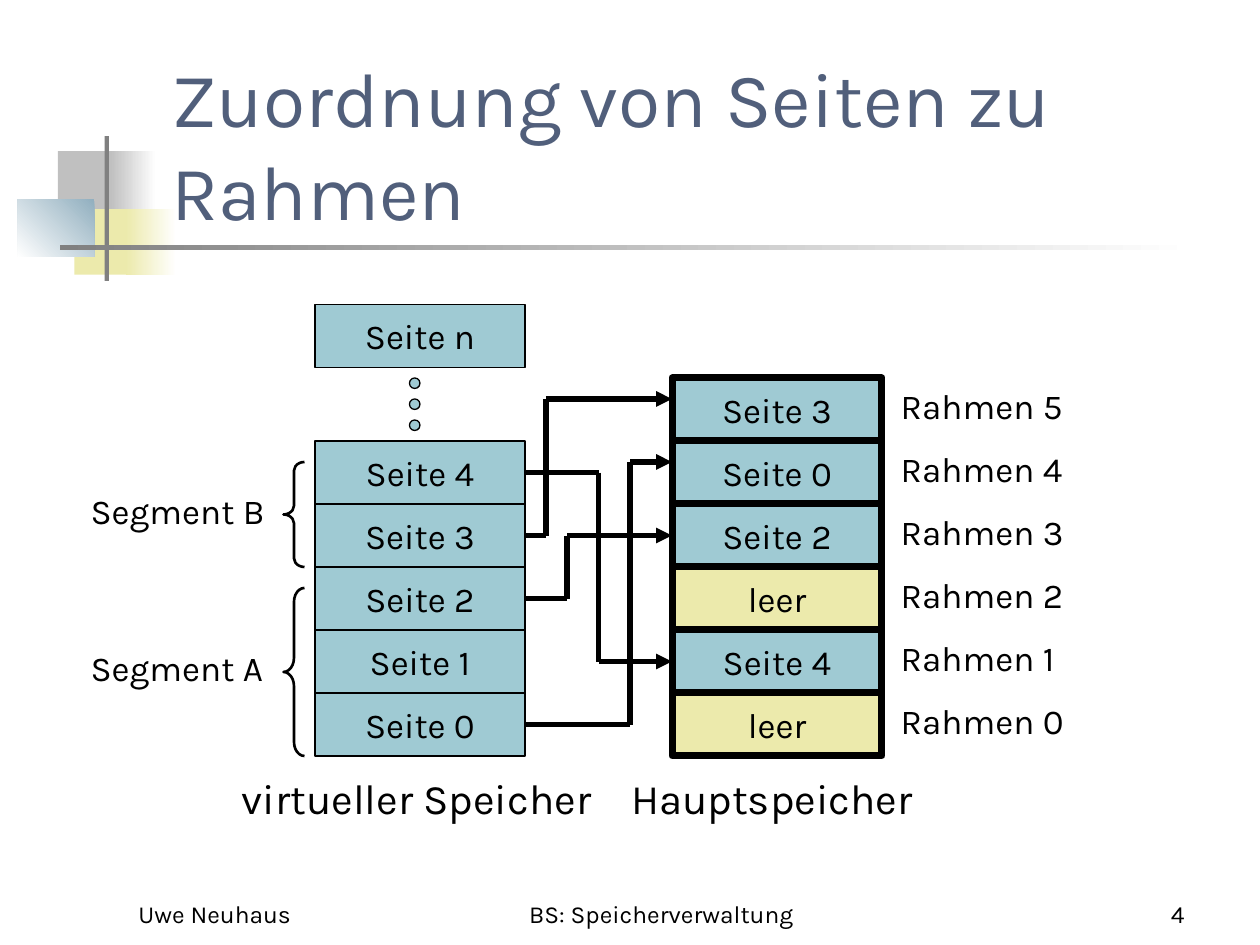
from lxml import etree
from pptx import Presentation
from pptx.dml.color import RGBColor
from pptx.enum import shapes, text
from pptx.oxml import ns
from pptx.util import Pt

BLACK = RGBColor(0x00, 0x00, 0x00)
WHITE = RGBColor(0xFF, 0xFF, 0xFF)
SILVER = RGBColor(0xC0, 0xC0, 0xC0)
GREY = RGBColor(0x80, 0x80, 0x80)
YELLOW = RGBColor(0xEC, 0xEA, 0xAC)
STEEL = RGBColor(0x91, 0xAF, 0xBF)
TEAL = RGBColor(0x9F, 0xCA, 0xD3)
NAVY = RGBColor(0x51, 0x5F, 0x7B)

FONT = "Karla"
SHAPE = shapes.MSO_SHAPE
ANCHOR = text.MSO_ANCHOR
ALIGN = text.PP_ALIGN

PAGE_LEFT, FRAME_LEFT = 180, 384
CELL_WIDTH, CELL_HEIGHT = 120, 36
BOTTOM = 432

deck = Presentation()
deck.slide_width, deck.slide_height = Pt(720), Pt(540)
slide = deck.slides.add_slide(deck.slide_layouts[5])


def add_box(kind, left, top, width, height, fill=None, line_width=None):
    box = slide.shapes.add_shape(kind, Pt(left), Pt(top), Pt(width), Pt(height))
    box.shadow.inherit = False
    if fill is None:
        box.fill.background()
    else:
        box.fill.solid()
        box.fill.fore_color.rgb = fill
    if line_width is None:
        box.line.fill.background()
    else:
        box.line.color.rgb = BLACK
        box.line.width = Pt(line_width)
    return box


def write(box, words, size, align=ALIGN.LEFT, anchor=ANCHOR.TOP, wrap=False, color=BLACK):
    frame = box.text_frame
    frame.text = words
    frame.word_wrap = wrap
    frame.auto_size = text.MSO_AUTO_SIZE.NONE
    frame.vertical_anchor = anchor
    para = frame.paragraphs[0]
    para.alignment = align
    para.font.name = FONT
    para.font.size = Pt(size)
    para.font.color.rgb = color


for left, top, width, height, start, end, angle in [
    (33.12, 86.4, 34.56, 37.44, SILVER, None, None),
    (63.36, 86.4, 25.92, 37.44, WHITE, SILVER, 180),
    (42.48, 119.52, 33.12, 37.44, YELLOW, None, None),
    (72, 119.52, 28.8, 37.44, WHITE, YELLOW, 180),
    (10, 113.76, 44, 33.12, STEEL, WHITE, 225),
    (59.76, 77.76, 2.5, 82.8, GREY, None, None),
    (34.56, 140.2, 648, 2.5, WHITE, GREY, 180),
]:
    ornament = add_box(SHAPE.RECTANGLE, left, top, width, height, start)
    if end is not None:
        ornament.fill.gradient()
        ornament.fill.gradient_angle = angle
        for stop, color in zip(ornament.fill.gradient_stops, (start, end)):
            stop.color.rgb = color

title = slide.shapes.title
title.left, title.top, title.width, title.height = Pt(90.72), Pt(48.24), Pt(613.44), Pt(90)
write(title, "Zuordnung von Seiten zu Rahmen", 44, anchor=ANCHOR.BOTTOM, wrap=True, color=NAVY)

pages = []
page_tops = [BOTTOM - CELL_HEIGHT * (number + 1) for number in range(5)] + [174]
for name, top in zip("01234n", page_tops):
    page = add_box(SHAPE.RECTANGLE, PAGE_LEFT, top, CELL_WIDTH, CELL_HEIGHT, TEAL, 0.75)
    write(page, f"Seite {name}", 20, ALIGN.CENTER, ANCHOR.MIDDLE)
    pages.append(page)

for step in range(3):
    add_box(SHAPE.OVAL, 234, 216 + 12 * step, 6, 6, TEAL, 0.75)

frames = []
for number, content in enumerate(["leer", "Seite 4", "leer", "Seite 2", "Seite 0", "Seite 3"]):
    top = BOTTOM - CELL_HEIGHT * (number + 1)
    fill = YELLOW if content == "leer" else TEAL
    frame_box = add_box(SHAPE.RECTANGLE, FRAME_LEFT, top, CELL_WIDTH, CELL_HEIGHT, fill, 4)
    write(frame_box, content, 20, ALIGN.CENTER, ANCHOR.MIDDLE)
    frames.append(frame_box)
    label = slide.shapes.add_textbox(Pt(507.6), Pt(top), Pt(109.44), Pt(31.68))
    write(label, f"Rahmen {number}", 20)

for page_number, frame_number, bend, end_y in [
    (0, 4, 360, 264),
    (2, 3, 324, 306),
    (3, 5, 312, 228),
    (4, 1, 342, 378),
]:
    page, frame_box = pages[page_number], frames[frame_number]
    start_y = page_tops[page_number] + CELL_HEIGHT / 2
    corners = [(PAGE_LEFT + CELL_WIDTH, start_y), (bend, start_y), (bend, end_y), (FRAME_LEFT, end_y)]
    parts = []
    for start, end in zip(corners, corners[1:]):
        part = slide.shapes.add_connector(
            shapes.MSO_CONNECTOR.STRAIGHT, *[Pt(value) for value in start + end]
        )
        part.line.color.rgb = BLACK
        part.line.width = Pt(3)
        etree.SubElement(part._element.spPr, ns.qn("a:effectLst"))
        parts.append(part)
    parts[0].begin_connect(page, 3)
    if Pt(end_y) == frame_box.top + frame_box.height // 2:
        parts[-1].end_connect(frame_box, 1)
    etree.SubElement(parts[-1].line._get_or_add_ln(), ns.qn("a:tailEnd"), type="triangle")

for name, label_top, top, height in [("A", 366, 336, 96), ("B", 276, 264, 60)]:
    brace = add_box(SHAPE.LEFT_BRACE, 162, top, 12, height, None, 1.5)
    brace.adjustments[0] = height / 12 / 12
    label = slide.shapes.add_textbox(Pt(44.64), Pt(label_top), Pt(116.64), Pt(31.68))
    write(label, f"Segment {name}", 20)

for words, left, width in [("virtueller Speicher", 131.04, 218.88), ("Hauptspeicher", 353.52, 179.28)]:
    caption = slide.shapes.add_textbox(Pt(left), Pt(438), Pt(width), Pt(36))
    write(caption, words, 24)

for words, left, width, align in [
    ("Uwe Neuhaus", 72, 150, ALIGN.LEFT),
    ("BS: Speicherverwaltung", 264, 228, ALIGN.CENTER),
    ("4", 534, 150, ALIGN.RIGHT),
]:
    footer = slide.shapes.add_textbox(Pt(left), Pt(498), Pt(width), Pt(36))
    write(footer, words, 14, align, ANCHOR.BOTTOM, wrap=True)

deck.save("out.pptx")
